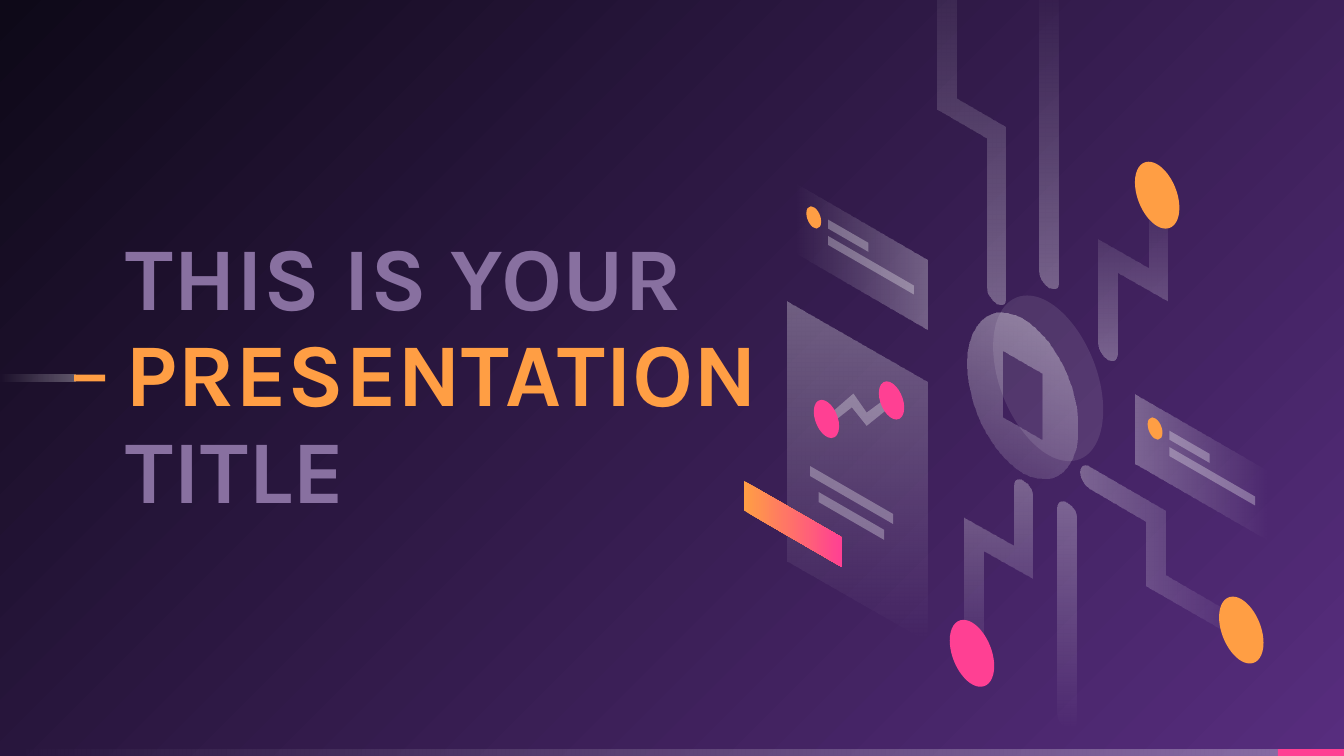
import math

import lxml.etree
import pptx
import pptx.dml.color
import pptx.enum.shapes
import pptx.enum.text
import pptx.oxml.ns
import pptx.util

Cm = pptx.util.Cm
RGBColor = pptx.dml.color.RGBColor
qn = pptx.oxml.ns.qn

WHITE = RGBColor(0xFF, 0xFF, 0xFF)
PINK = RGBColor(0xFF, 0x40, 0x93)
ORANGE = RGBColor(0xFF, 0x9E, 0x44)
LILAC = RGBColor(0x88, 0x70, 0xA0)
VIOLET = RGBColor(0x57, 0x2D, 0x7E)
NIGHT = RGBColor(0x0E, 0x09, 0x18)

SLOPE = math.tan(math.radians(30))  # slant of the isometric plane
DISC_RATIO = 1.39  # height to width of a disc on that plane
TRACK_HALF = (0.18, 0.21)  # half widths of upright and slanted strips
FADE = ((WHITE, 30), (WHITE, 0))
GLASS = ((WHITE, 30),)


def paint(shape, colours, angle=0):
    """Fill with one (colour, opacity) or fade clockwise between two."""
    shape.shadow.inherit = False
    shape.line.fill.background()
    if len(colours) == 1:
        shape.fill.solid()
        shape.fill.fore_color.rgb = colours[0][0]
    else:
        shape.fill.gradient()
        shape.fill.gradient_angle = (360 - angle) % 360
        for stop, (colour, _) in zip(shape.fill.gradient_stops, colours):
            stop.color.rgb = colour
    nodes = shape.element.spPr.iter(qn("a:srgbClr"))
    for node, (_, opacity) in zip(list(nodes), colours):
        if opacity < 100:
            alpha = lxml.etree.SubElement(node, qn("a:alpha"))
            alpha.set("val", str(opacity * 1000))


def add_bar(page, box, colours, angle=0):
    bar = page.shapes.add_shape(
        pptx.enum.shapes.MSO_SHAPE.RECTANGLE, *(Cm(n) for n in box))
    paint(bar, colours, angle)


def add_outline(page, origin, steps, colours, angle=0, hole=()):
    """Each step is (end,) for a line or (control, control, end) for a curve."""
    def placed(point):
        return Cm(origin[0] + point[0]), Cm(origin[1] + point[1])

    builder = page.shapes.build_freeform(*placed(steps[0][-1]), scale=1.0)
    builder.add_line_segments([placed(step[-1]) for step in steps[1:]])
    if hole:
        builder.move_to(*placed(hole[0]))
        builder.add_line_segments([placed(point) for point in hole[1:]])
    shape = builder.convert_to_shape()
    lines = list(shape.element.spPr.iter(qn("a:lnTo")))
    for line, step in zip(lines, steps[1:]):
        if len(step) == 3:
            curve = lxml.etree.Element(qn("a:cubicBezTo"))
            for point in step:
                x, y = placed(point)
                node = lxml.etree.SubElement(curve, qn("a:pt"))
                node.set("x", str(x - shape.left))
                node.set("y", str(y - shape.top))
            line.getparent().replace(line, curve)
    paint(shape, colours, angle)


def arcs(centre, across, along, turns):
    """Curve steps round an ellipse given by two half diameters."""
    def at(turn):
        return [c + a * math.cos(turn) + b * math.sin(turn)
                for c, a, b in zip(centre, across, along)]

    def slope(turn):
        return [b * math.cos(turn) - a * math.sin(turn)
                for a, b in zip(across, along)]

    for start, end in zip(turns, turns[1:]):
        pull = 4 / 3 * math.tan((end - start) / 4)
        yield ([p + pull * s for p, s in zip(at(start), slope(start))],
               [p - pull * s for p, s in zip(at(end), slope(end))], at(end))


def slab_corners(left, top, width, height):
    drop = width * SLOPE
    return [(left, top), (left + width, top + drop),
            (left + width, top + drop + height), (left, top + height)]


def add_slab(page, origin, box, colours, angle=0):
    steps = [(corner,) for corner in slab_corners(*box)]
    add_outline(page, origin, steps, colours, angle)


def add_disc(page, origin, centre, radius, colours, angle=0, hole=()):
    across = (radius, radius * SLOPE)
    along = (0, radius * DISC_RATIO)
    lowest = math.atan2(along[1], across[1])
    turns = [0, lowest, math.pi, math.pi + lowest, 2 * math.pi]
    steps = [((centre[0] + across[0], centre[1] + across[1]),)]
    steps += arcs(centre, across, along, turns)
    add_outline(page, origin, steps, colours, angle, hole)


def add_track(page, origin, joints, angle):
    """Strip with rounded ends along upright and slanted segments."""
    def offset(x, y):
        return TRACK_HALF[0] * x, TRACK_HALF[1] * y + TRACK_HALF[0] * x * SLOPE

    def shifted(point, x, y):
        return [p + d for p, d in zip(point, offset(x, y))]

    headings = []
    for (x1, y1), (x2, y2) in zip(joints, joints[1:]):
        headings.append((0, math.copysign(1, y2 - y1)) if x1 == x2
                        else (math.copysign(1, x2 - x1), 0))
    normals = [(y, -x) for x, y in headings]

    def cap(point, heading, normal, sign):
        across = offset(*(sign * n for n in normal))
        along = offset(*(sign * h for h in heading))
        start = [p + a for p, a in zip(point, across)]
        return [(start,), *arcs(point, across, along,
                                (0, math.pi / 2, math.pi))]

    bends = [(joint, before[0] + after[0], before[1] + after[1])
             for joint, before, after in zip(joints[1:], normals, normals[1:])]
    steps = cap(joints[0], headings[0], normals[0], -1)
    steps += [(shifted(*bend),) for bend in bends]
    steps += cap(joints[-1], headings[-1], normals[-1], 1)
    steps += [(shifted(joint, -x, -y),) for joint, x, y in reversed(bends)]
    add_outline(page, origin, steps, FADE, angle)


def add_background(page):
    fill = page.background.fill
    fill.gradient()
    for stop, colour in zip(fill.gradient_stops, (VIOLET, NIGHT)):
        stop.color.rgb = colour
    # Radial fade from the bottom right corner
    linear = next(page.element.iter(qn("a:lin")))
    radial = lxml.etree.Element(qn("a:path"), {"path": "circle"})
    lxml.etree.SubElement(radial, qn("a:fillToRect"),
                          {"l": "100000", "t": "100000"})
    linear.getparent().replace(linear, radial)


def add_title(page, box):
    title = page.shapes.title
    title.left, title.top, title.width, title.height = (Cm(n) for n in box)
    frame = title.text_frame
    frame.word_wrap = True
    frame.auto_size = pptx.enum.text.MSO_AUTO_SIZE.NONE
    frame.vertical_anchor = pptx.enum.text.MSO_ANCHOR.MIDDLE
    frame.margin_left = frame.margin_right = 0
    frame.margin_top = frame.margin_bottom = 0
    para = frame.paragraphs[0]
    para.alignment = pptx.enum.text.PP_ALIGN.LEFT
    para.line_spacing = 0.9
    for words, colour in (("THIS IS YOUR ", LILAC), ("PRESENTATION", ORANGE),
                          (" TITLE", LILAC)):
        span = para.add_run()
        span.text = words
        span.font.name = "Karla"
        span.font.size = pptx.util.Pt(48)
        span.font.bold = True
        span.font.color.rgb = colour


def add_card(page, origin, angle):
    add_slab(page, origin, (0, 0, 2.51, 1.31), FADE, angle)
    for top, width in ((0.69, 0.76), (1, 1.62)):
        add_slab(page, origin, (0.64, top, width, 0.17), GLASS)
    add_disc(page, origin, (0.37, 0.65), 0.14, ((ORANGE, 100),))


def add_chart_panel(page, origin):
    add_slab(page, origin, (0, 0, 2.64, 4.9), FADE, 90)
    for box in ((0.43, 3.1, 1.57, 0.19), (0.59, 3.59, 1.24, 0.19)):
        add_slab(page, origin, box, GLASS)
    add_slab(page, origin, (-0.82, 3.38, 1.85, 0.56),
             ((ORANGE, 100), (PINK, 100)))
    # Zigzag between two markers
    zigzag = [(1.91, 2.01), (1.5, 2.34), (1.22, 1.99), (0.84, 2.29),
              (0.72, 2.19), (1.25, 1.73), (1.5, 2.09), (1.81, 1.86)]
    add_outline(page, origin, [(point,) for point in zigzag], GLASS)
    for centre in ((1.97, 1.86), (0.74, 2.21)):
        add_disc(page, origin, centre, 0.24, ((PINK, 100),))


def add_circuit(page, origin):
    tracks = [
        (270, [(3.89, -1.4), (3.89, 1.96), (4.82, 2.5), (4.82, 5.52)]),
        (90, [(4.4, 12.65), (4.4, 10.1), (5.33, 10.63), (5.33, 9.3)]),
        (270, [(5.82, -0.13), (5.82, 5.22)]),
        (270, [(7.88, 3.58), (7.88, 5.38), (6.94, 4.84), (6.94, 6.58)]),
        (0, [(6.6, 9.04), (7.84, 9.76), (7.84, 10.97), (9.47, 11.91)]),
        (90, [(6.17, 9.72), (6.17, 13.58)]),
    ]
    for angle, joints in tracks:
        add_track(page, origin, joints, angle)
    # Track terminals
    for centre, colour in (((4.37, 12.35), PINK), ((7.87, 3.69), ORANGE),
                           ((9.46, 11.91), ORANGE)):
        add_disc(page, origin, centre, 0.42, ((colour, 100),))


def add_coin(page, origin):
    add_disc(page, origin, (0.48, -0.32), 1.04, ((WHITE, 10),))
    add_disc(page, origin, (0, 0), 1.04, ((WHITE, 40), (WHITE, 10)), 110,
             slab_corners(-0.38, -0.85, 0.75, 1.25))


def main():
    deck = pptx.Presentation()
    deck.slide_width, deck.slide_height = Cm(25.4), Cm(14.29)
    page = deck.slides.add_slide(deck.slide_layouts[5])
    add_background(page)
    # Footer strip and title marker
    add_bar(page, (0, 14.16, 24.23, 0.13), FADE, 180)
    add_bar(page, (24.15, 14.16, 1.25, 0.13), ((PINK, 100),))
    add_bar(page, (0, 7.08, 1.42, 0.13), FADE, 180)
    add_bar(page, (1.4, 7.08, 0.59, 0.13), ((ORANGE, 100),))
    add_title(page, (2.38, 3.79, 14.2, 6.71))
    # Illustration
    add_circuit(page, (14, 0))
    add_chart_panel(page, (14.88, 5.71))
    add_card(page, (21.46, 7.45), 0)
    add_card(page, (15.01, 3.46), 180)
    add_coin(page, (19.33, 7.47))
    deck.save("out.pptx")


if __name__ == "__main__":
    main()
